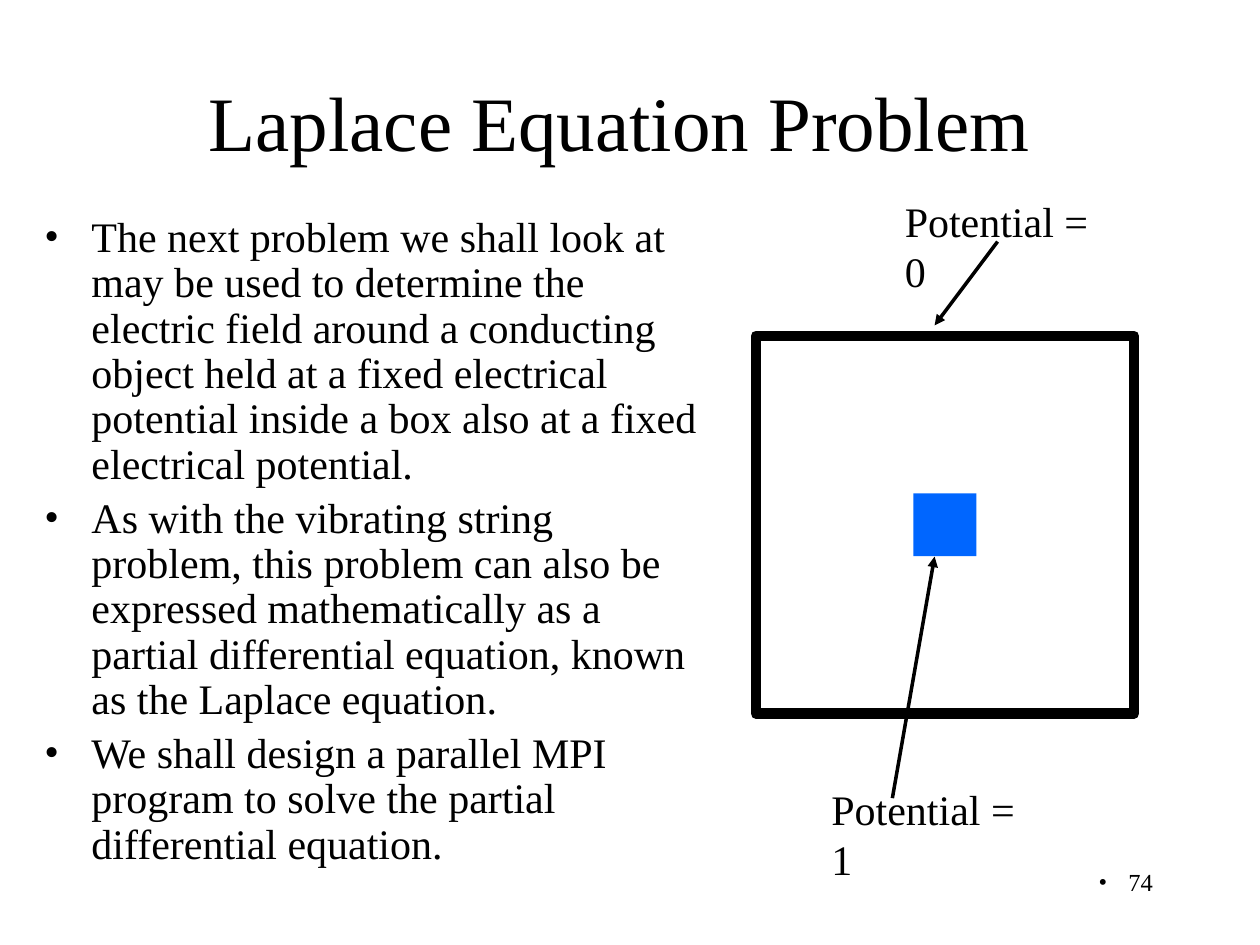
from lxml.etree import SubElement
from pptx import Presentation
from pptx.dml.color import RGBColor
from pptx.enum.shapes import MSO_CONNECTOR, MSO_SHAPE
from pptx.enum.text import MSO_ANCHOR, MSO_AUTO_SIZE, PP_ALIGN
from pptx.oxml.ns import qn
from pptx.util import Cm, Pt


def add_text(p, text, size, color="000000"):
    r = p.add_run()
    r.text = text
    r.font.name = "Times New Roman"
    r.font.size = Pt(size)
    r.font.color.rgb = RGBColor.from_string(color)


def add_bullet(p, indent):
    """Give the paragraph a round bullet with a hanging indent."""
    pPr = p._p.get_or_add_pPr()
    pPr.set("marL", str(indent))
    pPr.set("indent", str(-indent))
    SubElement(pPr, qn("a:buFont"), typeface="Times New Roman")
    SubElement(pPr, qn("a:buChar"), char="•")


prs = Presentation()
prs.slide_width, prs.slide_height = Cm(25.4), Cm(19.05)
s = prs.slides.add_slide(prs.slide_layouts[1])

# Title
title = s.shapes.title
title.left, title.top, title.width, title.height = Cm(1.7), Cm(0.85), Cm(21.59), Cm(3.18)
tf = title.text_frame
tf.auto_size = MSO_AUTO_SIZE.NONE
tf.vertical_anchor = MSO_ANCHOR.MIDDLE
p = tf.paragraphs[0]
p.alignment = PP_ALIGN.CENTER
add_text(p, "Laplace Equation Problem", 44)

# Bullet list
body = s.placeholders[1]
body.left, body.top, body.width, body.height = Cm(0.64), Cm(4.23), Cm(13.97), Cm(13.55)
tf = body.text_frame
tf.auto_size = MSO_AUTO_SIZE.NONE
points = [
    "The next problem we shall look at may be used to determine the electric field "
    "around a conducting object held at a fixed electrical potential inside a box "
    "also at a fixed electrical potential.",
    "As with the vibrating string problem, this problem can also be expressed "
    "mathematically as a partial differential equation, known as the Laplace equation.",
    "We shall design a parallel MPI program to solve the partial differential equation.",
]
for i, point in enumerate(points):
    p = tf.add_paragraph() if i else tf.paragraphs[0]
    add_bullet(p, Cm(0.95))
    p.line_spacing = 0.9
    p.space_before = Pt(5 if i else 0)
    add_text(p, point, 24)

# Conducting object centred inside the box
center_x, center_y = 19.05, 10.58
for size, fill, line_width in [(7.62, "FFFFFF", 6), (1.27, "0066FF", 0)]:
    sp = s.shapes.add_shape(MSO_SHAPE.RECTANGLE, Cm(center_x - size / 2),
                            Cm(center_y - size / 2), Cm(size), Cm(size))
    sp.shadow.inherit = False
    sp.fill.solid()
    sp.fill.fore_color.rgb = RGBColor.from_string(fill)
    if line_width:
        sp.line.color.rgb = RGBColor.from_string("000000")
        sp.line.width = Pt(line_width)
    else:
        sp.line.fill.background()

# Potential labels
for text, x, y in [("Potential = 0", 17.99, 3.81), ("Potential = 1", 16.51, 15.66)]:
    label = s.shapes.add_textbox(Cm(x), Cm(y), Cm(4.83), Cm(1.27))
    tf = label.text_frame
    tf.word_wrap = False
    tf.auto_size = MSO_AUTO_SIZE.SHAPE_TO_FIT_TEXT
    add_text(tf.paragraphs[0], text, 24)

# Arrows from the labels
for x1, y1, x2, y2 in [(20.11, 4.87, 18.84, 6.56), (17.99, 16.09, 18.84, 11.22)]:
    arrow = s.shapes.add_connector(MSO_CONNECTOR.STRAIGHT, Cm(x1), Cm(y1), Cm(x2), Cm(y2))
    arrow.line.color.rgb = RGBColor.from_string("000000")
    arrow.line.width = Pt(2)
    SubElement(arrow.line._get_or_add_ln(), qn("a:tailEnd"), type="triangle")
    SubElement(arrow._element.spPr, qn("a:effectLst"))

# Page number
number = s.shapes.add_textbox(Cm(18.2), Cm(17.36), Cm(5.29), Cm(1.27))
tf = number.text_frame
tf.word_wrap = True
p = tf.paragraphs[0]
add_bullet(p, Cm(0.6))
p.alignment = PP_ALIGN.RIGHT
add_text(p, "74", 14)

prs.save("out.pptx")
